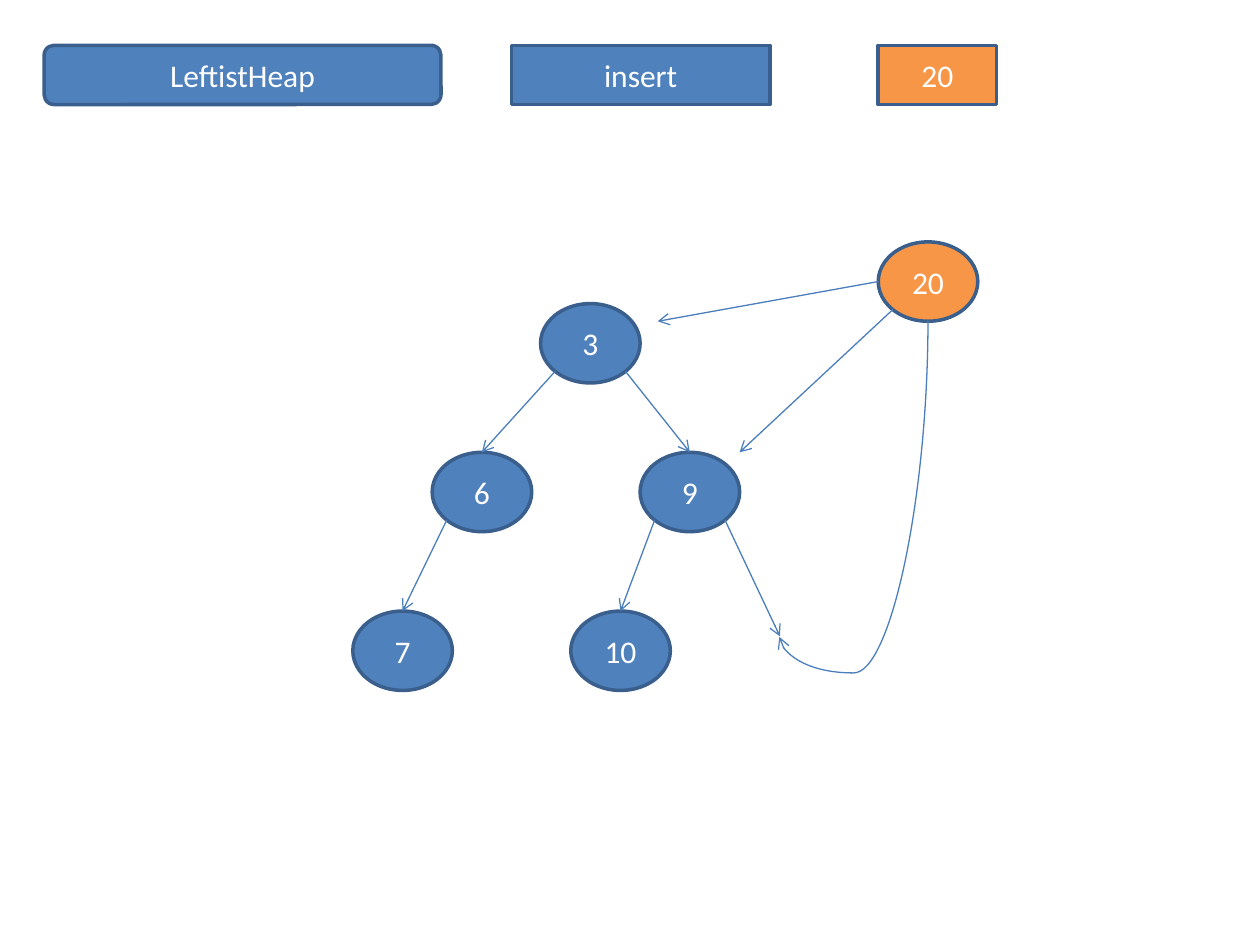
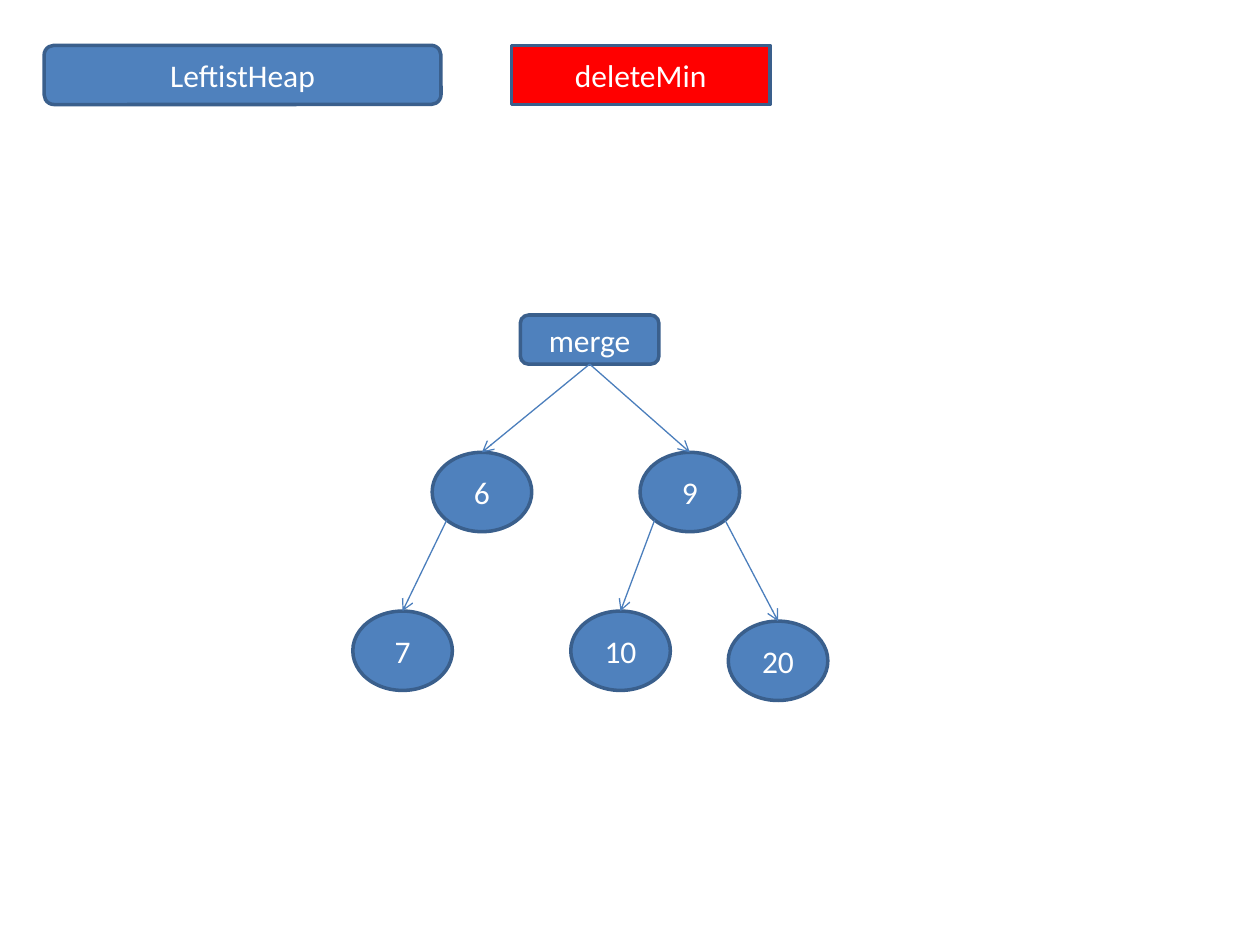
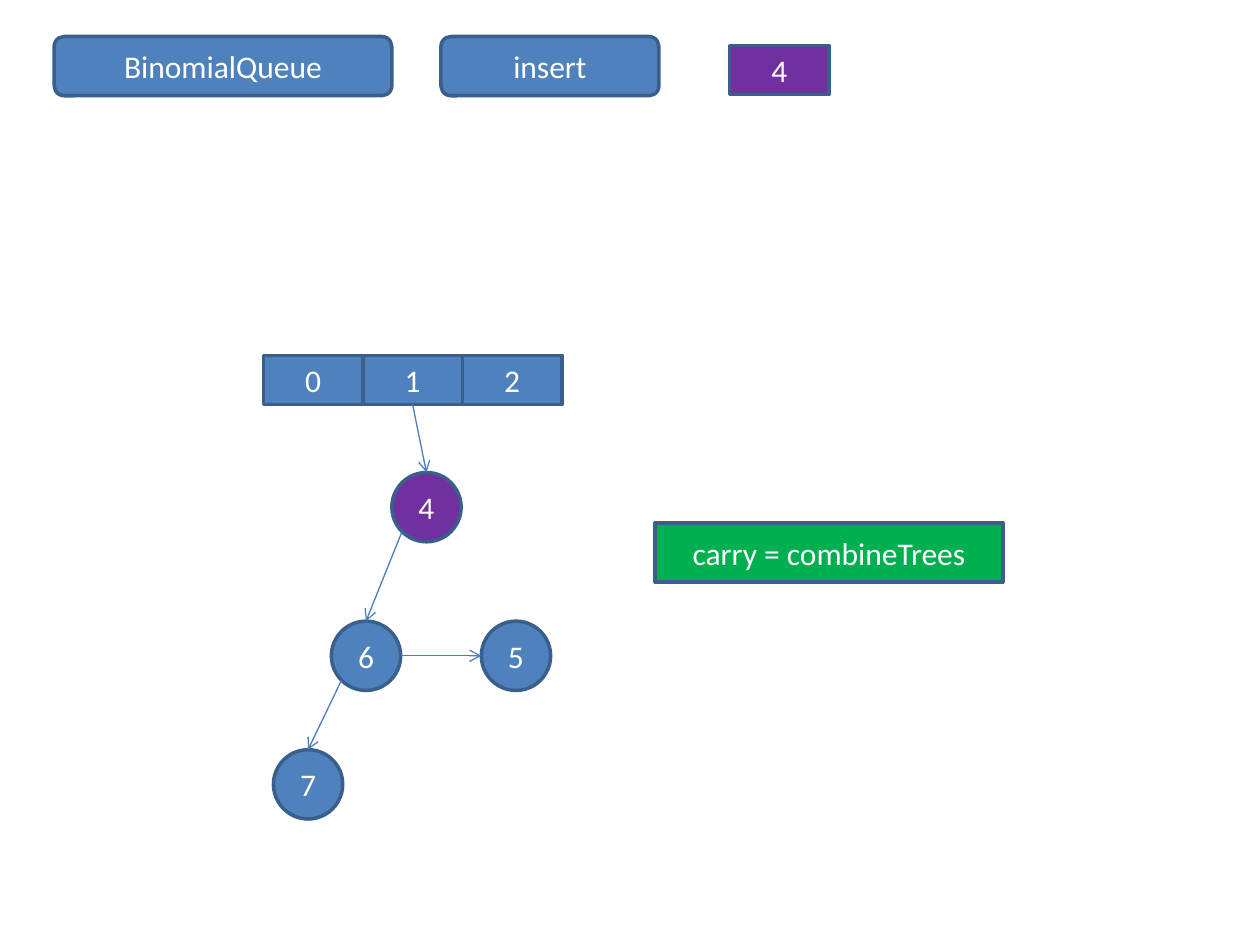
from lxml.etree import SubElement
from pptx import Presentation
from pptx.dml.color import RGBColor
from pptx.enum.shapes import MSO_CONNECTOR, MSO_SHAPE
from pptx.enum.text import MSO_ANCHOR, PP_ALIGN
from pptx.oxml.ns import qn
from pptx.util import Inches, Pt

COLORS = {
    "blue": "4F81BD", "orange": "F79646", "red": "FF0000", "purple": "7030A0",
    "green": "00B050", "outline": "3A5F8C", "arrow": "4B7EBC", "text": "FFFFFF",
}
RECT, ROUND, OVAL = MSO_SHAPE.RECTANGLE, MSO_SHAPE.ROUNDED_RECTANGLE, MSO_SHAPE.OVAL
DIAGONAL = 0.707  # where a diagonal meets an ellipse, as a share of its radius
HEAP_NODE = (0.79, 0.63)
QUEUE_NODE = (0.55, 0.55)
CELL = (0.79, 0.39)


def box(s, kind, text, pos, size, fill="blue"):
    """Draw a labelled shape and return the points where arrows attach."""
    (x, y), (w, h) = pos, size
    sp = s.shapes.add_shape(kind, Inches(x), Inches(y), Inches(w), Inches(h))
    sp.shadow.inherit = False
    sp.fill.solid()
    sp.fill.fore_color.rgb = RGBColor.from_string(COLORS[fill])
    sp.line.color.rgb = RGBColor.from_string(COLORS["outline"])
    sp.line.width = Pt(2)
    tf = sp.text_frame
    tf.vertical_anchor = MSO_ANCHOR.MIDDLE
    p = tf.paragraphs[0]
    p.text = text
    p.alignment = PP_ALIGN.CENTER
    p.font.name = "Calibri"
    p.font.size = Pt(18)
    p.font.color.rgb = RGBColor.from_string(COLORS["text"])
    cx, cy = x + w / 2, y + h / 2
    dx, dy = w / 2 * DIAGONAL, h / 2 * DIAGONAL
    return {
        "top": (cx, y), "bottom": (cx, y + h), "left": (x, cy), "right": (x + w, cy),
        "lower left": (cx - dx, cy + dy), "lower right": (cx + dx, cy + dy),
    }


def arrow(s, start, end, kind=MSO_CONNECTOR.STRAIGHT):
    c = s.shapes.add_connector(kind, *[Inches(v) for v in (*start, *end)])
    c.line.color.rgb = RGBColor.from_string(COLORS["arrow"])
    c.line.width = Pt(0.75)
    SubElement(c.line._get_or_add_ln(), qn("a:tailEnd"), type="arrow")
    SubElement(c._element.spPr, qn("a:effectLst"))
    return c


prs = Presentation()
prs.slide_width, prs.slide_height = Inches(10), Inches(7.5)
insert_slide, delete_slide, queue_slide = [
    prs.slides.add_slide(prs.slide_layouts[6]) for _ in range(3)]

# Leftist heap: header and subtrees on both slides
heaps = []
for s, operation, fill in [(insert_slide, "insert", "blue"),
                           (delete_slide, "deleteMin", "red")]:
    box(s, ROUND, "LeftistHeap", (0.35, 0.36), (3.15, 0.47))
    box(s, RECT, operation, (4.06, 0.36), (2.05, 0.47), fill)
    nodes = {}
    for key, x, y in [("6", 3.43, 3.59), ("7", 2.8, 4.85),
                      ("9", 5.08, 3.59), ("10", 4.53, 4.85)]:
        nodes[key] = box(s, OVAL, key, (x, y), HEAP_NODE)
    for parent, child in [("6", "7"), ("9", "10")]:
        arrow(s, nodes[parent]["lower left"], nodes[child]["top"])
    heaps.append(nodes)

# Slide 1: 20 is compared down the right spine
s, nodes = insert_slide, heaps[0]
box(s, RECT, "20", (6.97, 0.36), (0.94, 0.47), "orange")
root = box(s, OVAL, "3", (4.29, 2.41), HEAP_NODE)
new = box(s, OVAL, "20", (6.97, 1.92), HEAP_NODE, "orange")
free_place = (6.19, 5.05)
arrow(s, root["lower left"], nodes["6"]["top"])
arrow(s, root["lower right"], nodes["9"]["top"])
arrow(s, nodes["9"]["lower right"], free_place)
arrow(s, new["left"], (5.22, 2.55))
arrow(s, new["lower left"], (5.87, 3.59))

# Curve from 20 to the free place, turned a quarter and bulging below its end
curve = arrow(s, (5.52, 3.21), (8.03, 4.39), MSO_CONNECTOR.CURVE)
spPr = curve._element.spPr
spPr.find(qn("a:xfrm")).set("rot", "5400000")
geom = spPr.find(qn("a:prstGeom"))
SubElement(geom.find(qn("a:avLst")), qn("a:gd"), name="adj1", fmla="val 111400")

# Slide 2: the root is gone and its subtrees merge
s, nodes = delete_slide, heaps[1]
merge = box(s, ROUND, "merge", (4.13, 2.5), (1.1, 0.39))
last = box(s, OVAL, "20", (5.78, 4.93), HEAP_NODE)
arrow(s, nodes["9"]["lower right"], last["top"])
for key in ("6", "9"):
    arrow(s, merge["bottom"], nodes[key]["top"])

# Slide 3: binomial queue header
s = queue_slide
box(s, ROUND, "BinomialQueue", (0.43, 0.29), (2.68, 0.47))
box(s, ROUND, "insert", (3.5, 0.29), (1.73, 0.47))
box(s, RECT, "4", (5.79, 0.36), CELL, "purple")
box(s, RECT, "carry = combineTrees", (5.2, 4.15), (2.76, 0.47), "green")

# Array of trees
cells = [box(s, RECT, str(i), (2.09 + i * CELL[0], 2.82), CELL) for i in range(3)]

# Tree in cell 1
nodes = {}
for key, x, y, fill in [("4", 3.11, 3.75, "purple"), ("6", 2.63, 4.93, "blue"),
                        ("5", 3.82, 4.93, "blue"), ("7", 2.17, 5.95, "blue")]:
    nodes[key] = box(s, OVAL, key, (x, y), QUEUE_NODE, fill)
arrow(s, cells[1]["bottom"], nodes["4"]["top"])
arrow(s, nodes["4"]["lower left"], nodes["6"]["top"])
arrow(s, nodes["6"]["right"], nodes["5"]["left"])
arrow(s, nodes["6"]["lower left"], nodes["7"]["top"])

prs.save("out.pptx")
